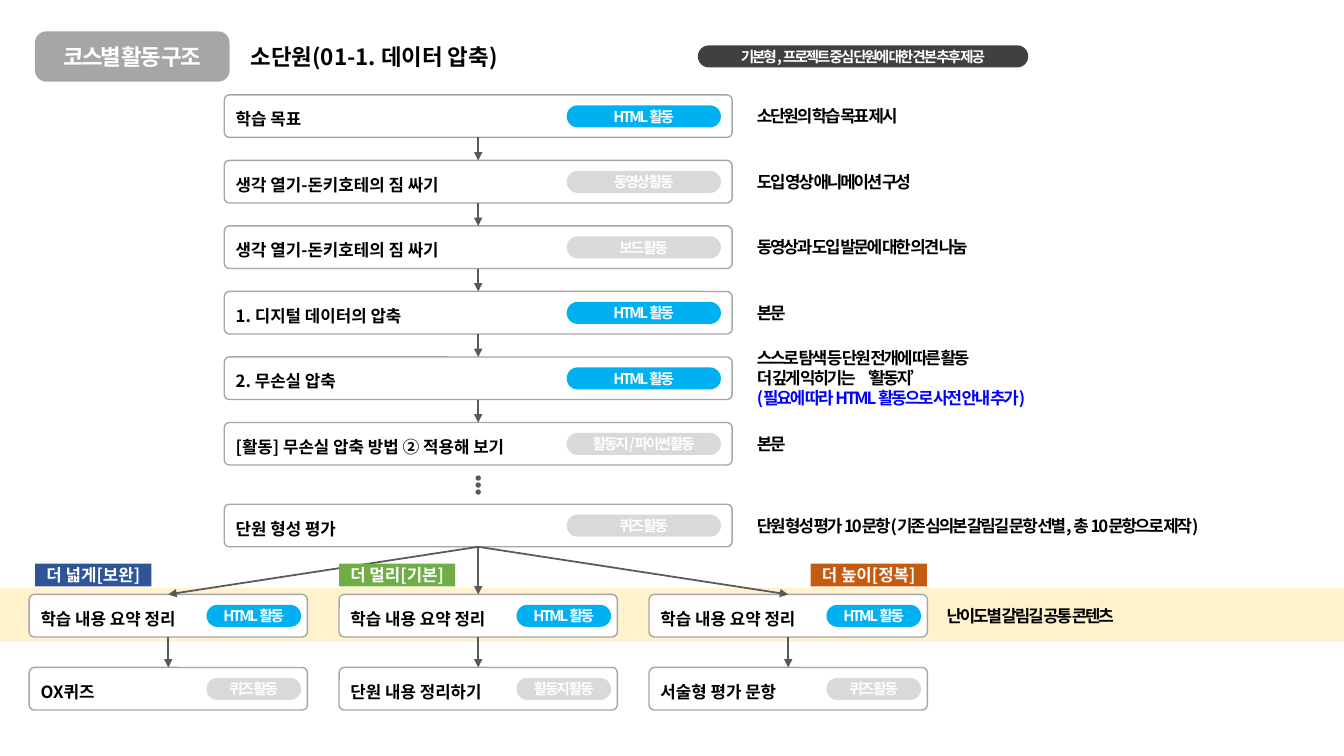
"""Build the slide showing the activity flow of one learning sub-unit."""
from typing import NamedTuple, Optional

from lxml import etree
from pptx import Presentation
from pptx.dml.color import RGBColor
from pptx.enum.shapes import MSO_CONNECTOR, MSO_SHAPE
from pptx.enum.text import MSO_ANCHOR, MSO_AUTO_SIZE, PP_ALIGN
from pptx.oxml.ns import qn
from pptx.shapes.autoshape import Shape
from pptx.slide import Slide
from pptx.text.text import TextFrame
from pptx.util import Pt

ROUNDED, RECTANGLE, OVAL = MSO_SHAPE.ROUNDED_RECTANGLE, MSO_SHAPE.RECTANGLE, MSO_SHAPE.OVAL
STRAIGHT = MSO_CONNECTOR.STRAIGHT
TOP, MIDDLE = MSO_ANCHOR.TOP, MSO_ANCHOR.MIDDLE
LEFT, CENTER = PP_ALIGN.LEFT, PP_ALIGN.CENTER
GROW, FIXED = MSO_AUTO_SIZE.SHAPE_TO_FIT_TEXT, MSO_AUTO_SIZE.NONE
TOP_SIDE, BOTTOM_SIDE = 0, 2

FONT = "Noto Sans CJK KR"
COLORS = {
    "black": "000000", "white": "FFFFFF", "note": "0000FF", "frame": "A6A6A6",
    "html": "00B0F0", "other": "D9D9D9", "arrow": "595959", "band": "FFF2CC",
    "notice": "404040", "wider": "2F5597", "further": "70AD47", "higher": "C55A11",
}
TIGHT = -1.5
BOX_HEIGHT, PILL_HEIGHT = 30.4, 15.8
MAIN_LEFT, MAIN_WIDTH, MAIN_TOP, MAIN_PITCH = 160.2, 362.8, 67.8, 46.8
CENTER_X, EVALUATION_TOP = 341.6, 360.2
COURSE_LEFT, COURSE_WIDTH, COURSE_PITCH = 20.8, 198.8, 221.4
SUMMARY_TOP, FINAL_TOP = 424.6, 476.8
DESCRIPTION_LEFT = 533.5


class Area(NamedTuple):
    """Position and size in points."""
    left: float
    top: float
    width: float
    height: float


class Step(NamedTuple):
    """One box of the main flow with its description."""
    title: str
    activity: str
    description: list[str]


class Course(NamedTuple):
    """One branch below the evaluation."""
    label: str
    color: str
    label_left: float
    final_title: str
    final_activity: str


STEPS = [
    Step("학습 목표", "HTML 활동", ["소단원의 학습 목표 제시"]),
    Step("생각 열기-돈키호테의 짐 싸기", "동영상 활동", ["도입 영상 애니메이션 구성"]),
    Step("생각 열기-돈키호테의 짐 싸기", "보드 활동", ["동영상과 도입 발문에 대한 의견 나눔"]),
    Step("1. 디지털 데이터의 압축", "HTML 활동", ["본문"]),
    Step("2. 무손실 압축", "HTML 활동", [
        "스스로 탐색 등 단원 전개에 따른 활동", "더 깊게 익히기는 ‘활동지’",
        "(필요에 따라 HTML 활동으로 사전 안내 추가)"]),
    Step("[활동] 무손실 압축 방법 ② 적용해 보기", "활동지/파이썬 활동", ["본문"]),
]
EVALUATION = Step("단원 형성 평가", "퀴즈 활동", [
    "단원 형성 평가 10문항(기존 심의본 갈림길 문항 선별, 총 10문항으로 제작)"])
COURSES = [
    Course("더 넓게[보완]", "wider", 25.2, "OX퀴즈", "퀴즈 활동"),
    Course("더 멀리[기본]", "further", 242.2, "단원 내용 정리하기", "활동지 활동"),
    Course("더 높이[정복]", "higher", 579, "서술형 평가 문항", "퀴즈 활동"),
]


def rgb(color: str) -> RGBColor:
    """Look up a named colour."""
    return RGBColor.from_string(COLORS[color])


def write(frame: TextFrame, lines: list[str], size: float, color: str, align: PP_ALIGN = LEFT,
          spacing: float = 0, line_spacing: float = 1) -> None:
    """Fill a text frame with bold paragraphs."""
    frame.word_wrap = True
    frame.text = "\n".join(lines)
    for paragraph in frame.paragraphs:
        paragraph.alignment = align
        paragraph.line_spacing = line_spacing
        font = paragraph.font
        font.name, font.size, font.bold = FONT, Pt(size), True
        font.color.rgb = rgb("note" if paragraph.text.startswith("(") else color)
        properties = paragraph._p.pPr.find(qn("a:defRPr"))
        properties.set("spc", str(round(spacing * 100)))
        etree.SubElement(properties, qn("a:ea"), typeface=FONT)


def add_block(slide: Slide, kind: MSO_SHAPE, area: Area, fill: Optional[str] = None,
              line: Optional[str] = None, rounding: Optional[float] = None) -> Shape:
    """Add a flat preset shape."""
    shape = slide.shapes.add_shape(kind, *map(Pt, area))
    shape.shadow.inherit = False
    if rounding is not None:
        shape.adjustments[0] = rounding
    if fill:
        shape.fill.solid()
        shape.fill.fore_color.rgb = rgb(fill)
    else:
        shape.fill.background()
    if line:
        shape.line.color.rgb = rgb(line)
        shape.line.width = Pt(1)
    else:
        shape.line.fill.background()
    shape.text_frame.vertical_anchor = MIDDLE
    return shape


def add_label(slide: Slide, area: Area, text: str, fill: str, size: float = 10.5,
              rounding: float = 0.5, spacing: float = TIGHT) -> Shape:
    """Add a filled label with centred white text."""
    label = add_block(slide, ROUNDED, area, fill, rounding=rounding)
    write(label.text_frame, [text], size, "white", CENTER, spacing)
    return label


def add_activity_box(slide: Slide, area: Area, title: str, activity: str, pill_width: float,
                     pill_margin: float, fill: Optional[str] = None) -> Shape:
    """Add a framed box with an activity pill at its right."""
    box = add_block(slide, ROUNDED, area, fill, "frame", 0.122)
    write(box.text_frame, [title], 12, "black", line_spacing=1.3)
    pill_left = area.left + area.width - pill_margin - pill_width
    pill = Area(pill_left, area.top + 7.4, pill_width, PILL_HEIGHT)
    add_label(slide, pill, activity, "html" if activity.startswith("HTML") else "other")
    return box


def add_description(slide: Slide, left: float, middle: float, width: float,
                    lines: list[str]) -> None:
    """Add a description centred on a height."""
    height = 21.6 + 14.6 * (len(lines) - 1)
    area = Area(left, middle - height / 2, width, height)
    frame = slide.shapes.add_textbox(*map(Pt, area)).text_frame
    write(frame, lines, 12, "black", spacing=TIGHT)
    frame.auto_size = GROW


def add_step(slide: Slide, step: Step, top: float) -> Shape:
    """Add a main flow box and its description."""
    area = Area(MAIN_LEFT, top, MAIN_WIDTH, BOX_HEIGHT)
    box = add_activity_box(slide, area, step.title, step.activity, 110.2, 8)
    add_description(slide, DESCRIPTION_LEFT, top + BOX_HEIGHT / 2, 363, step.description)
    return box


def add_arrow(slide: Slide, upper: Shape, lower: Shape) -> None:
    """Join the bottom of one box to the top of another."""
    arrow = slide.shapes.add_connector(STRAIGHT, 0, 0, 0, 0)
    arrow.begin_connect(upper, BOTTOM_SIDE)
    arrow.end_connect(lower, TOP_SIDE)
    arrow.line.color.rgb = rgb("arrow")
    arrow.line.width = Pt(1.25)
    etree.SubElement(arrow.line._get_or_add_ln(), qn("a:tailEnd"), type="triangle")
    etree.SubElement(arrow._element.spPr, qn("a:effectLst"))


def add_header(slide: Slide) -> None:
    """Add the title, section label and notice."""
    title = slide.shapes.title
    title.left, title.top, title.width, title.height = map(Pt, Area(172, 27.4, 381, 26.6))
    write(title.text_frame, ["소단원(01-1. 데이터 압축)"], 16, "black")
    title.text_frame.vertical_anchor = TOP
    title.text_frame.auto_size = FIXED
    add_label(slide, Area(25, 22.4, 139, 36), "코스별 활동 구조", "frame", 16, 0.226)
    add_label(slide, Area(498.5, 32.4, 236, PILL_HEIGHT),
              "기본형, 프로젝트 중심 단원에 대한 견본 추후 제공", "notice")


def add_course(slide: Slide, course: Course, left: float, evaluation: Shape) -> None:
    """Add one branch with its two boxes and label."""
    summary, final = (
        add_activity_box(slide, Area(left, top, COURSE_WIDTH, BOX_HEIGHT), title, activity,
                         67.6, 4.5, fill)
        for top, title, activity, fill in (
            (SUMMARY_TOP, "학습 내용 요약 정리", "HTML 활동", "white"),
            (FINAL_TOP, course.final_title, course.final_activity, None)))
    add_arrow(slide, evaluation, summary)
    add_arrow(slide, summary, final)
    label = add_label(slide, Area(course.label_left, 402.6, 83, 16.2), course.label,
                      course.color, 12, 0, 0)
    frame = label.text_frame
    frame.margin_left = frame.margin_right = frame.margin_top = frame.margin_bottom = 0


def main() -> None:
    """Build and save the presentation."""
    presentation = Presentation()
    presentation.slide_width, presentation.slide_height = Pt(960), Pt(540)
    slide = presentation.slides.add_slide(presentation.slide_layouts[5])
    add_header(slide)
    add_block(slide, RECTANGLE, Area(0, 420, 960, 38.6), "band")
    boxes = [add_step(slide, step, MAIN_TOP + MAIN_PITCH * row) for row, step in enumerate(STEPS)]
    for upper, lower in zip(boxes, boxes[1:]):
        add_arrow(slide, upper, lower)
    for dot in range(3):
        add_block(slide, OVAL, Area(CENTER_X - 1.9, 339.6 + 5 * dot, 3.8, 3.8), "arrow")
    evaluation = add_step(slide, EVALUATION, EVALUATION_TOP)
    for column, course in enumerate(COURSES):
        add_course(slide, course, COURSE_LEFT + COURSE_PITCH * column, evaluation)
    add_description(slide, 669, SUMMARY_TOP + BOX_HEIGHT / 2, 162, ["난이도별 갈림길 공통 콘텐츠"])
    presentation.save("out.pptx")


if __name__ == "__main__":
    main()
